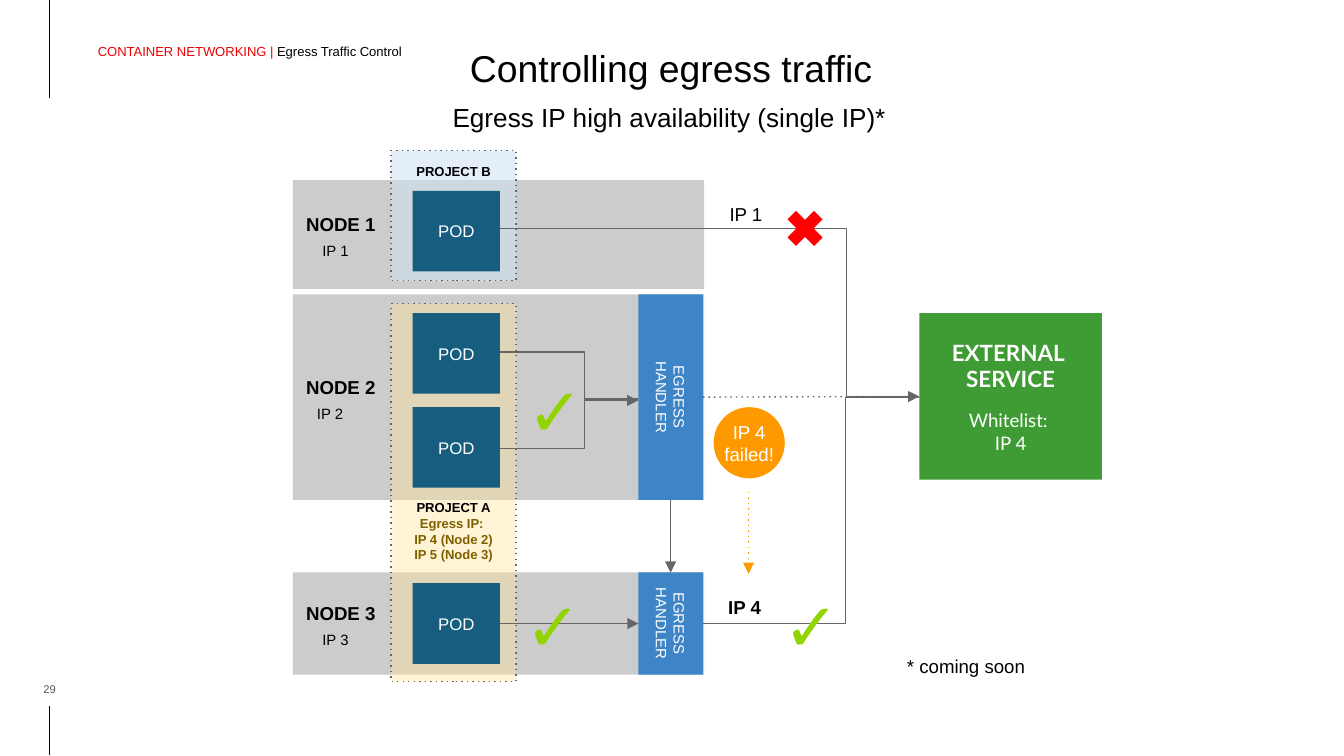
"""Build the slide on high availability of a single egress IP."""
import copy
import dataclasses
import typing

import pptx
import pptx.dml.color
import pptx.enum.shapes
import pptx.enum.text
import pptx.oxml.ns
import pptx.shapes.autoshape
import pptx.shapes.connector
import pptx.slide
import pptx.text.text
import pptx.util

Inches = pptx.util.Inches
Pt = pptx.util.Pt
SHAPES = pptx.enum.shapes.MSO_SHAPE
ANCHOR = pptx.enum.text.MSO_ANCHOR
ALIGN = pptx.enum.text.PP_ALIGN
qn = pptx.oxml.ns.qn

BLACK, WHITE, GREY, ORANGE = "000000", "FFFFFF", "666666", "FF9900"


class Box(typing.NamedTuple):
    left: float
    top: float
    width: float
    height: float


class Run(typing.NamedTuple):
    text: str
    size: float
    colour: str = BLACK
    bold: bool = False
    font: str = "Arial"


@dataclasses.dataclass
class Para:
    runs: list[Run]
    align: ALIGN = ALIGN.CENTER
    before: float = 0
    indent: float = 0
    spacing: float = 1.0


@dataclasses.dataclass
class Node:
    name: str
    address: str
    indent: float
    top: float
    height: float


@dataclasses.dataclass
class Zone:
    top: float
    height: float
    colour: str
    opacity: int
    text_offset: float
    paragraphs: list[Para]


@dataclasses.dataclass
class Route:
    points: list[tuple[float, float]]
    arrow: bool = False


def rgb(colour: str) -> pptx.dml.color.RGBColor:
    return pptx.dml.color.RGBColor.from_string(colour)


def place(box: Box) -> list[pptx.util.Length]:
    return [Inches(value) for value in box]


def add_run(line: pptx.text.text._Paragraph, part: Run) -> None:
    for index, text in enumerate(part.text.split("\n")):
        if index:
            line.add_line_break()
            line._p.findall(qn("a:br"))[-1].append(copy.deepcopy(run._r.rPr))
        run = line.add_run()
        run.text = text
        run.font.size, run.font.bold, run.font.name = Pt(part.size), part.bold, part.font
        run.font.color.rgb = rgb(part.colour)


def write(frame: pptx.text.text.TextFrame, paragraphs: list[Para], anchor: ANCHOR = ANCHOR.MIDDLE,
          inset: float = 0.1, wrap: bool = True) -> None:
    frame.word_wrap = wrap
    frame.auto_size = pptx.enum.text.MSO_AUTO_SIZE.NONE
    frame.vertical_anchor = anchor
    frame.margin_left = frame.margin_right = frame.margin_top = frame.margin_bottom = Inches(inset)
    for index, para in enumerate(paragraphs):
        line = frame.add_paragraph() if index else frame.paragraphs[0]
        line.alignment = para.align
        line.line_spacing = para.spacing
        line.space_before = Pt(para.before)
        if para.indent:
            line._p.get_or_add_pPr().set("marL", str(Inches(para.indent)))
        for part in para.runs:
            add_run(line, part)


def label(slide: pptx.slide.Slide, box: Box, paragraphs: list[Para], anchor: ANCHOR = ANCHOR.TOP,
          inset: float = 0.1) -> None:
    write(slide.shapes.add_textbox(*place(box)).text_frame, paragraphs, anchor, inset)


def block(slide: pptx.slide.Slide, box: Box, fill: str,
          kind: SHAPES = SHAPES.RECTANGLE) -> pptx.shapes.autoshape.Shape:
    shape = slide.shapes.add_shape(kind, *place(box))
    shape.shadow.inherit = False
    shape.fill.solid()
    shape.fill.fore_color.rgb = rgb(fill)
    shape.line.fill.background()
    return shape


def stroke(shape: typing.Any, colour: str = GREY, dotted: bool = False, arrow: bool = False) -> None:
    shape.line.color.rgb = rgb(colour)
    shape.line.width = Pt(0.75)
    outline = shape.line._get_or_add_ln()
    if dotted:
        outline.append(outline.makeelement(qn("a:prstDash"), {"val": "dot"}))
    if arrow:
        outline.append(outline.makeelement(qn("a:tailEnd"), {"type": "triangle"}))


def connect(slide: pptx.slide.Slide, start: tuple[float, float], end: tuple[float, float],
            colour: str = GREY, dotted: bool = False,
            arrow: bool = True) -> pptx.shapes.connector.Connector:
    link = slide.shapes.add_connector(pptx.enum.shapes.MSO_CONNECTOR.STRAIGHT,
                                      *[Inches(value) for value in (*start, *end)])
    stroke(link, colour, dotted, arrow)
    properties = link._element.spPr
    properties.append(properties.makeelement(qn("a:effectLst"), {}))
    return link


def draw_route(slide: pptx.slide.Slide, route: Route) -> None:
    start, *rest = [(Inches(x), Inches(y)) for x, y in route.points]
    builder = slide.shapes.build_freeform(*start)
    builder.add_line_segments(rest, close=False)
    path = builder.convert_to_shape()
    path.shadow.inherit = False
    path.fill.background()
    stroke(path, arrow=route.arrow)


def draw_node(slide: pptx.slide.Slide, node: Node) -> None:
    body = block(slide, Box(2.18, node.top, 3.06, node.height), "CCCCCC")
    write(body.text_frame, [
        Para([Run(node.name, 10, bold=True)], ALIGN.LEFT, spacing=1.15),
        Para([Run(node.address, 8)], ALIGN.LEFT, 2, node.indent, 1.15)])


def draw_zone(slide: pptx.slide.Slide, zone: Zone) -> None:
    area = block(slide, Box(2.91, zone.top, 0.93, zone.height), zone.colour)
    tint = area._element.spPr.find(".//" + qn("a:srgbClr"))
    tint.append(tint.makeelement(qn("a:alpha"), {"val": str(zone.opacity * 1000)}))
    stroke(area, dotted=True)
    write(area.text_frame, zone.paragraphs, ANCHOR.TOP)
    area.text_frame.margin_top = Inches(zone.text_offset)


def draw_pod(slide: pptx.slide.Slide, top: float) -> pptx.shapes.autoshape.Shape:
    pod = block(slide, Box(3.07, top, 0.65, 0.6), "165D80")
    write(pod.text_frame, [Para([Run("POD", 9, WHITE)])])
    return pod


def draw_handler(slide: pptx.slide.Slide, node: Node) -> pptx.shapes.autoshape.Shape:
    handler = block(slide, Box(4.75, node.top, 0.48, node.height), "3D85C6")
    write(handler.text_frame, [Para([Run(word, 8, WHITE)]) for word in ("EGRESS", "HANDLER")])
    handler.text_frame._txBody.bodyPr.set("vert", "vert")
    return handler


def main() -> None:
    deck = pptx.Presentation()
    deck.slide_width, deck.slide_height = Inches(10), Inches(10) * 9 // 16
    slide = deck.slides.add_slide(deck.slide_layouts[5])
    title = slide.shapes.title
    title.left, title.top, title.width, title.height = place(Box(0.9, -0.08, 8.19, 1.16))
    write(title.text_frame, [Para([Run("Controlling egress traffic", 20)])])

    for start, end in ((0.73, 0), (5.62, 5.25)):
        connect(slide, (0.37, start), (0.37, end), BLACK, arrow=False)
    label(slide, Box(0.07, 5.06, 0.6, 0.12), [Para([Run("29", 6, "595959")])], ANCHOR.BOTTOM, 0)
    label(slide, Box(0.63, 0.05, 3.96, 0.67), [Para([
        Run("CONTAINER NETWORKING | ", 7, "EE0000"), Run("Egress Traffic Control", 7)], ALIGN.LEFT)],
        ANCHOR.MIDDLE)
    label(slide, Box(1.42, 0.71, 7.12, 0.33),
          [Para([Run("Egress IP high availability (single IP)*", 14)])], ANCHOR.MIDDLE)

    nodes = [Node("NODE 1", "IP 1", 0.12, 1.34, 0.81), Node("NODE 2", "IP 2", 0.08, 2.19, 1.53),
             Node("NODE 3", "IP 3", 0.12, 4.26, 0.76)]
    for node in nodes:
        draw_node(slide, node)
    egress_ips = Run("Egress IP: \nIP 4 (Node 2)\nIP 5 (Node 3)", 7, "7F6000", True)
    for zone in (
            Zone(1.12, 0.97, "CFE2F3", 56, 0.1, [Para([Run("PROJECT B", 7, bold=True)])]),
            Zone(2.26, 2.81, "FFE599", 40, 1.46,
                 [Para([Run("PROJECT A", 7, bold=True)]), Para([egress_ips])])):
        draw_zone(slide, zone)

    for route in (
            Route([(3.71, 1.7), (6.3, 1.7), (6.3, 2.95), (6.79, 2.95)]),
            Route([(6.84, 2.96), (6.29, 2.96), (6.29, 4.64), (5.23, 4.64)]),
            Route([(3.71, 2.62), (4.35, 2.62), (4.35, 2.97), (4.75, 2.97)]),
            Route([(3.71, 3.34), (4.35, 3.34), (4.35, 2.98), (4.75, 2.98)], True)):
        draw_route(slide, route)
    cross = block(slide, Box(5.8, 1.51, 0.38, 0.38), "FF0000", SHAPES.MATH_MULTIPLY)
    cross.adjustments[0] = 0.235

    service = block(slide, Box(6.84, 2.33, 1.36, 1.24), "3F9C35")
    write(service.text_frame, [
        Para([Run("EXTERNAL \nSERVICE", 12, WHITE, True, "Lato")]),
        Para([Run("Whitelist: \nIP 4", 10, WHITE, font="Lato")], before=9)])
    pods = [draw_pod(slide, top) for top in (1.42, 2.33, 3.03, 4.34)]
    active, standby = [draw_handler(slide, node) for node in nodes[1:]]
    for source, source_side, target, target_side, dotted in (
            (active, 3, service, 1, True), (pods[3], 3, standby, 1, False), (active, 2, standby, 0, False)):
        link = connect(slide, (0, 0), (1, 1), dotted=dotted)
        link.begin_connect(source, source_side)
        link.end_connect(target, target_side)
    connect(slide, (5.57, 3.66), (5.57, 4.27), ORANGE, dotted=True)

    for left, top in ((5.73, 4.25), (3.81, 4.25), (3.83, 2.65)):
        label(slide, Box(left, top, 0.5, 0.48), [Para([Run("✓", 36, "92D400", True, "Lato")])])
    label(slide, Box(5.33, 1.41, 0.52, 0.32), [Para([Run("IP 1", 10)], ALIGN.LEFT)])
    label(slide, Box(5.32, 4.33, 0.52, 0.32), [Para([Run("IP 4", 10, bold=True)], ALIGN.LEFT)])
    label(slide, Box(6.65, 4.77, 2.25, 0.23), [Para([Run("* coming soon", 10)], ALIGN.LEFT)])
    failure = block(slide, Box(5.31, 3.03, 0.53, 0.53), ORANGE, SHAPES.OVAL)
    write(failure.text_frame, [Para([Run("IP 4\nfailed!", 10, WHITE)])], inset=0, wrap=False)
    deck.save("out.pptx")


if __name__ == "__main__":
    main()
